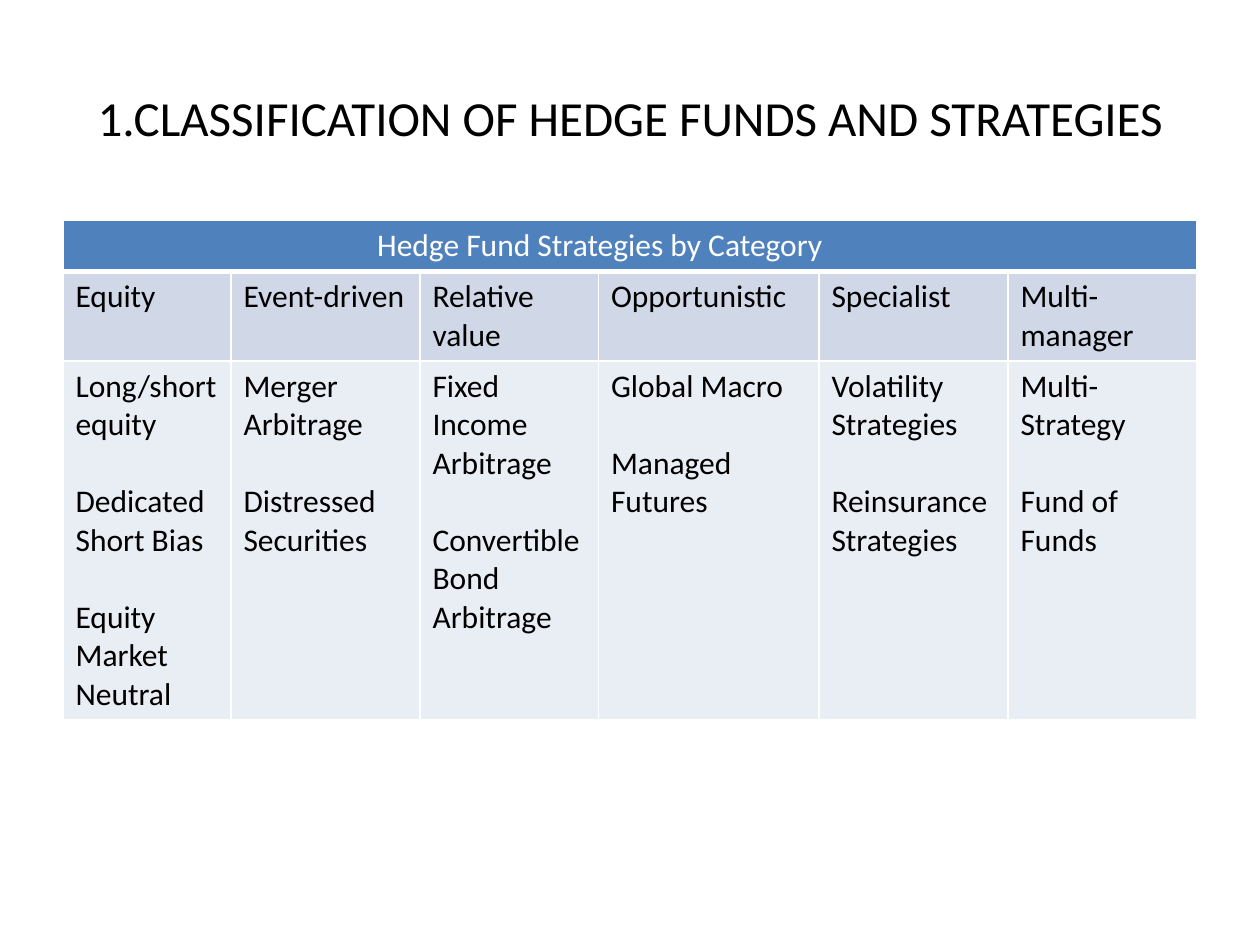
"""Build a slide that classifies hedge fund strategies in a table."""
import pptx
import pptx.util
import pptx.dml.color
import pptx.enum.text
import pptx.oxml
import pptx.oxml.ns

Pt = pptx.util.Pt
RGBColor = pptx.dml.color.RGBColor
Align = pptx.enum.text.PP_ALIGN
Anchor = pptx.enum.text.MSO_ANCHOR

BLACK = RGBColor(0x00, 0x00, 0x00)
WHITE = RGBColor(0xFF, 0xFF, 0xFF)
BLUE = RGBColor(0x4F, 0x81, 0xBD)
CATEGORY_FILL = RGBColor(0xD0, 0xD8, 0xE8)
STRATEGY_FILL = RGBColor(0xE9, 0xED, 0xF4)

FONT = "Calibri"
BODY_SIZE = 18
GROUP_GAP = 22
COLUMN_WIDTHS = [96, 108, 102, 126, 108, 108]
ROW_HEIGHTS = [29.2, 51.2, 205]

STRATEGIES = {
    "Equity": [["Long/short equity"], ["Dedicated Short Bias"], ["Equity Market Neutral"]],
    "Event-driven": [["Merger Arbitrage"], ["Distressed Securities"]],
    "Relative value": [["Fixed Income Arbitrage"], ["Convertible Bond Arbitrage"]],
    "Opportunistic": [["Global Macro"], ["Managed Futures"]],
    "Specialist": [["Volatility Strategies"], ["Reinsurance", "Strategies"]],
    "Multi-manager": [["Multi-Strategy"], ["Fund of Funds"]],
}


class SlideBuilder:
    def __init__(self, slide):
        self.slide = slide

    def add_text(self, frame, groups, size=BODY_SIZE, color=BLACK, align=Align.LEFT):
        para = None
        for group_index, group in enumerate(groups):
            for line_index, line in enumerate(group):
                para = frame.paragraphs[0] if para is None else frame.add_paragraph()
                para.alignment = align
                if group_index and not line_index:
                    para.space_before = Pt(GROUP_GAP)
                span = para.add_run()
                span.text = line
                span.font.name = FONT
                span.font.size = Pt(size)
                span.font.color.rgb = color

    def title(self, text, left, top, width, height):
        box = self.slide.shapes.add_textbox(Pt(left), Pt(top), Pt(width), Pt(height))
        frame = box.text_frame
        frame.word_wrap = True
        frame.vertical_anchor = Anchor.MIDDLE
        self.add_text(frame, [[text]], size=28, align=Align.CENTER)

    def table(self, left, top, widths, heights):
        frame = self.slide.shapes.add_table(
            len(heights), len(widths), Pt(left), Pt(top), Pt(sum(widths)), Pt(sum(heights)))
        table = frame.table
        for column, width in zip(table.columns, widths):
            column.width = Pt(width)
        for row, height in zip(table.rows, heights):
            row.height = Pt(height)
        return table

    def cell(self, cell, fill, top_line=1, bottom_line=1):
        cell.fill.solid()
        cell.fill.fore_color.rgb = fill
        properties = cell._tc.get_or_add_tcPr()
        lines = {"L": 1, "R": 1, "T": top_line, "B": bottom_line}
        for index, (side, weight) in enumerate(lines.items()):
            line = pptx.oxml.parse_xml(
                f'<a:ln{side} {pptx.oxml.ns.nsdecls("a")} w="{Pt(weight)}">'
                f'<a:solidFill><a:srgbClr val="{WHITE}"/></a:solidFill></a:ln{side}>')
            properties.insert(index, line)


deck = pptx.Presentation()
deck.slide_width = Pt(720)
deck.slide_height = Pt(540)
page = SlideBuilder(deck.slides.add_slide(deck.slide_layouts[6]))

page.title("1.CLASSIFICATION OF HEDGE FUNDS AND STRATEGIES", 36, 21.6, 648, 90)

table = page.table(36, 126, COLUMN_WIDTHS, ROW_HEIGHTS)
for column, (category, groups) in enumerate(STRATEGIES.items()):
    header, label, details = (table.cell(row, column) for row in range(3))
    page.cell(header, BLUE, bottom_line=3)
    page.cell(label, CATEGORY_FILL, top_line=3)
    page.cell(details, STRATEGY_FILL)
    page.add_text(label.text_frame, [[category]])
    page.add_text(details.text_frame, groups)

heading = table.cell(0, 0)
heading.merge(table.cell(0, len(COLUMN_WIDTHS) - 1))
heading.margin_right = Pt(41.5)
page.add_text(heading.text_frame, [["Hedge Fund Strategies by Category"]],
              color=WHITE, align=Align.CENTER)

deck.save("out.pptx")
